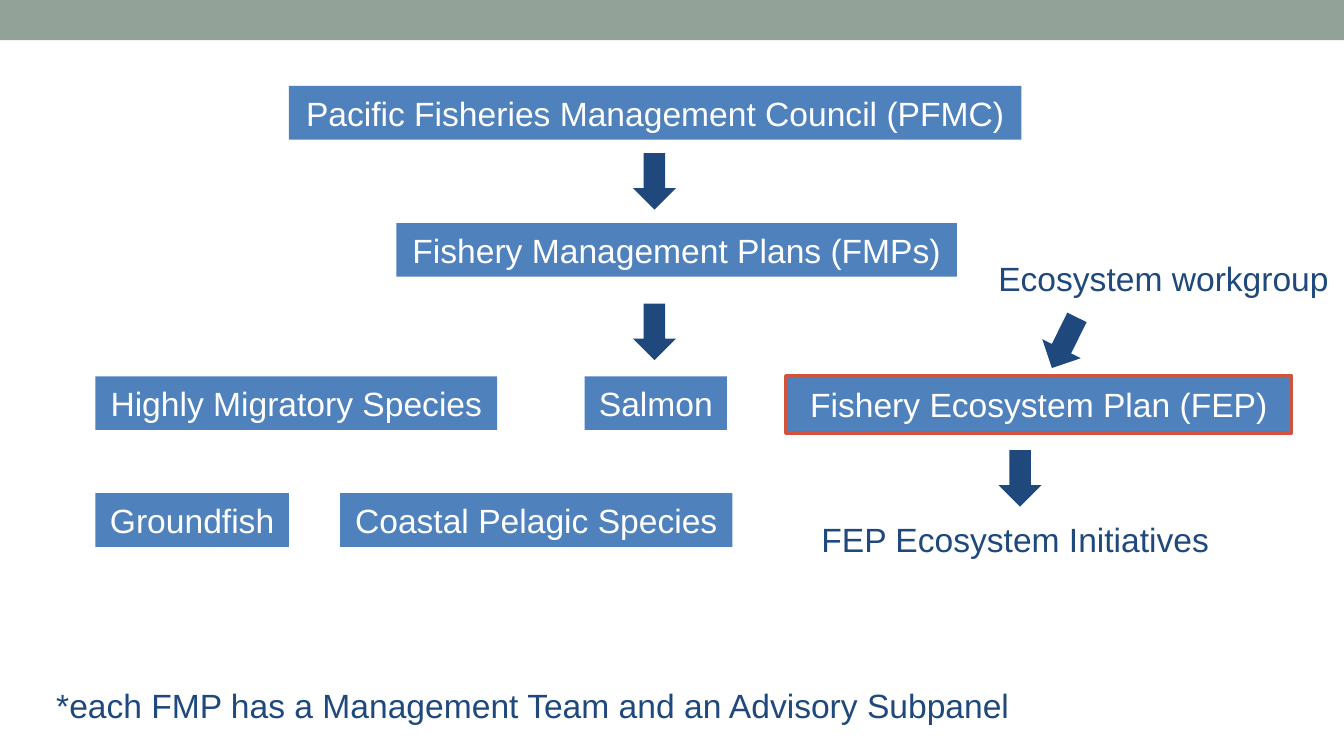
from pptx import Presentation
from pptx.dml.color import RGBColor
from pptx.enum.shapes import MSO_SHAPE
from pptx.enum.text import MSO_ANCHOR, PP_ALIGN
from pptx.util import Inches, Pt

COLORS = {"band": "93A299", "box": "4F81BD", "dark": "1F497D",
          "outline": "D2533C", "white": "FFFFFF"}
SLIDE_WIDTH = 10
SLIDE_HEIGHT = SLIDE_WIDTH * 9 / 16
ROW_HEIGHT = 0.4
PLANS = [
    ("Pacific Fisheries Management Council (PFMC)", 2.15, 0.64, 5.45),
    ("Fishery Management Plans (FMPs)", 2.95, 1.66, 4.17),
    ("Highly Migratory Species", 0.71, 2.8, 2.99),
    ("Salmon", 4.35, 2.8, 1.06),
    ("Fishery Ecosystem Plan (FEP)", 5.85, 2.81, 3.76),
    ("Groundfish", 0.71, 3.67, 1.44),
    ("Coastal Pelagic Species", 2.53, 3.67, 2.92),
]
LABELS = [
    ("Ecosystem workgroup", 7.33, 1.87, 2.8, PP_ALIGN.LEFT),
    ("FEP Ecosystem Initiatives", 6, 3.81, 3.11, PP_ALIGN.CENTER),
    ("*each FMP has a Management Team and an Advisory Subpanel",
     0.32, 5.05, 7.36, PP_ALIGN.LEFT),
]
ARROWS = [(4.71, 1.14, 0), (4.71, 2.26, 0), (7.76, 2.34, 26.3), (7.43, 3.35, 0)]


def color(name):
    """Return the named palette colour."""
    return RGBColor.from_string(COLORS[name])


def add_block(page, kind, left, top, width, height, fill):
    """Add a flat preset shape with a solid fill and no outline."""
    block = page.shapes.add_shape(
        kind, Inches(left), Inches(top), Inches(width), Inches(height))
    block.shadow.inherit = False
    block.fill.solid()
    block.fill.fore_color.rgb = color(fill)
    block.line.fill.background()
    return block


def write_text(box, text, ink, alignment):
    """Write one line of text in a box."""
    frame = box.text_frame
    for name, value in {"word_wrap": True, "vertical_anchor": MSO_ANCHOR.TOP}.items():
        setattr(frame, name, value)
    para = frame.paragraphs[0]
    para.alignment = alignment
    span = para.add_run()
    span.text = text
    for name, value in {"name": "Arial", "size": Pt(18)}.items():
        setattr(span.font, name, value)
    span.font.color.rgb = color(ink)


def add_plan(page, text, left, top, width):
    """Add a blue box with centred white text."""
    box = add_block(page, MSO_SHAPE.RECTANGLE, left, top, width, ROW_HEIGHT, "box")
    write_text(box, text, "white", PP_ALIGN.CENTER)


def add_label(page, text, left, top, width, alignment):
    """Add dark text without a box around it."""
    box = page.shapes.add_textbox(
        Inches(left), Inches(top), Inches(width), Inches(ROW_HEIGHT))
    write_text(box, text, "dark", alignment)


def add_arrow(page, left, top, rotation):
    """Add a dark block arrow that points down before its rotation."""
    arrow = add_block(page, MSO_SHAPE.DOWN_ARROW, left, top, 0.32, 0.42, "dark")
    arrow.rotation = rotation


def add_highlight(page, left, top, width, height):
    """Add an unfilled red frame."""
    frame = add_block(page, MSO_SHAPE.RECTANGLE, left, top, width, height, "outline")
    frame.fill.background()
    frame.line.color.rgb = color("outline")
    frame.line.width = Pt(2.08)


def main():
    """Build and save the fishery management slide."""
    deck = Presentation()
    deck.slide_width, deck.slide_height = Inches(SLIDE_WIDTH), Inches(SLIDE_HEIGHT)
    page = deck.slides.add_slide(deck.slide_layouts[6])
    add_block(page, MSO_SHAPE.RECTANGLE, 0, 0, SLIDE_WIDTH, 0.3, "band")
    for plan in PLANS:
        add_plan(page, *plan)
    add_highlight(page, 5.85, 2.8, 3.76, 0.42)
    for arrow in ARROWS:
        add_arrow(page, *arrow)
    for label in LABELS:
        add_label(page, *label)
    deck.save("out.pptx")


if __name__ == "__main__":
    main()
